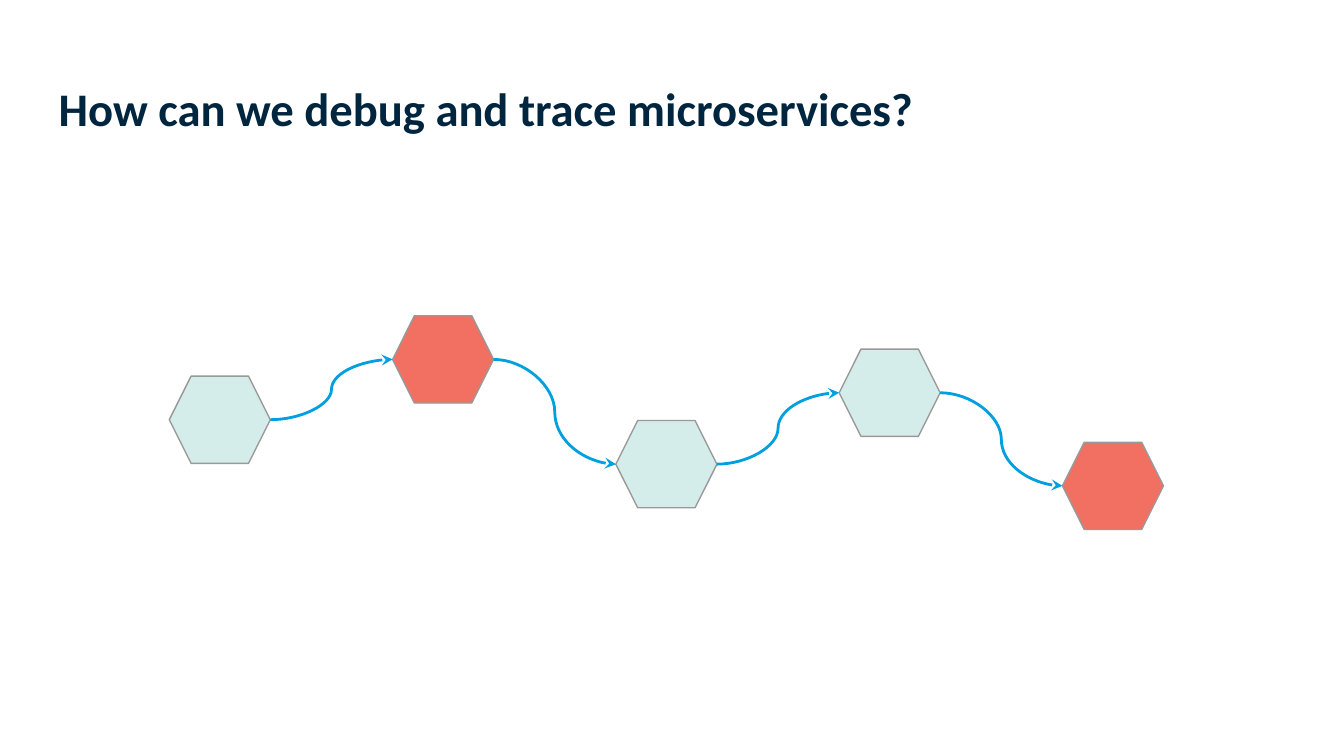
from itertools import pairwise

from lxml.etree import SubElement
from pptx import Presentation
from pptx.dml.color import RGBColor
from pptx.enum.shapes import MSO_CONNECTOR, MSO_SHAPE
from pptx.enum.text import MSO_ANCHOR, MSO_AUTO_SIZE, PP_ALIGN
from pptx.oxml.ns import qn
from pptx.util import Cm, Pt

NAVY = RGBColor(0x00, 0x25, 0x3E)
MINT = RGBColor(0xD5, 0xED, 0xEA)
CORAL = RGBColor(0xF2, 0x70, 0x62)
GRAY = RGBColor(0x99, 0x99, 0x99)
BLUE = RGBColor(0x00, 0x9F, 0xDF)

LEFT, STEP = 3.2, 4.22
WIDTH, HEIGHT = Cm(1.91), Cm(1.65)
NODES = [(7.11, MINT), (5.97, CORAL), (7.95, MINT), (6.6, MINT), (8.36, CORAL)]


def apply(item, values):
    for name, value in values.items():
        setattr(item, name, value)


def set_title(slide, text):
    title = slide.shapes.title
    apply(title, {"left": Cm(0.86), "top": Cm(1.24),
                  "width": Cm(23.67), "height": Cm(1.6)})
    frame = title.text_frame
    frame.text = text
    apply(frame, {"word_wrap": True, "auto_size": MSO_AUTO_SIZE.NONE,
                  "vertical_anchor": MSO_ANCHOR.MIDDLE,
                  "margin_left": Cm(0.25), "margin_right": Cm(0.25),
                  "margin_top": Cm(0.25), "margin_bottom": Cm(0.25)})
    line = frame.paragraphs[0]
    line.alignment = PP_ALIGN.LEFT
    font = line.runs[0].font
    apply(font, {"name": "Calibri", "size": Pt(25), "bold": True})
    font.color.rgb = NAVY


def set_line(shape, color, width):
    shape.line.color.rgb = color
    shape.line.width = Pt(width)


def add_node(slide, left, top, color):
    node = slide.shapes.add_shape(
        MSO_SHAPE.HEXAGON, Cm(left), Cm(top), WIDTH, HEIGHT)
    node.shadow.inherit = False
    node.fill.solid()
    node.fill.fore_color.rgb = color
    set_line(node, GRAY, 0.75)
    return node


def add_link(slide, start, end):
    link = slide.shapes.add_connector(
        MSO_CONNECTOR.CURVE,
        start.left + start.width, start.top + start.height // 2,
        end.left, end.top + end.height // 2)
    set_line(link, BLUE, 1.5)
    SubElement(link.line._get_or_add_ln(), qn("a:tailEnd"), type="stealth")
    SubElement(link._element.spPr, qn("a:effectLst"))


def main():
    deck = Presentation()
    apply(deck, {"slide_width": Cm(25.4), "slide_height": Cm(14.29)})
    slide = deck.slides.add_slide(deck.slide_layouts[5])
    set_title(slide, "How can we debug and trace microservices?")
    nodes = [add_node(slide, LEFT + i * STEP, top, color)
             for i, (top, color) in enumerate(NODES)]
    for start, end in pairwise(nodes):
        add_link(slide, start, end)
    deck.save("out.pptx")


if __name__ == "__main__":
    main()
